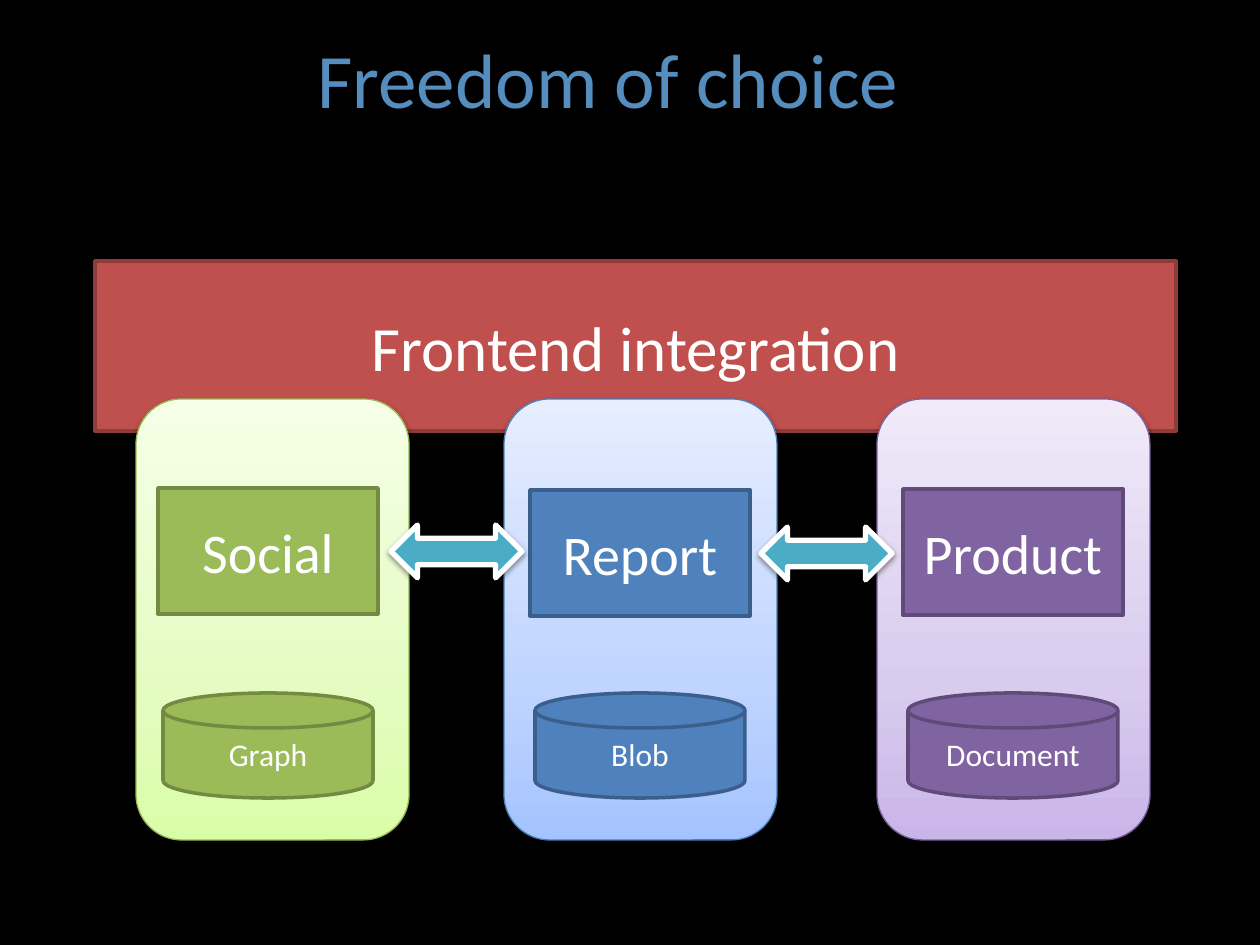
from copy import deepcopy

from lxml import etree
from pptx import Presentation
from pptx.dml.color import RGBColor
from pptx.enum.shapes import MSO_SHAPE
from pptx.enum.text import MSO_ANCHOR, PP_ALIGN
from pptx.oxml import parse_xml
from pptx.oxml.ns import nsdecls, qn
from pptx.util import Emu, Pt

RECT = MSO_SHAPE.RECTANGLE
PANEL = MSO_SHAPE.ROUNDED_RECTANGLE
DISK = MSO_SHAPE.FLOWCHART_MAGNETIC_DISK
ARROW = MSO_SHAPE.LEFT_RIGHT_ARROW
CENTER = PP_ALIGN.CENTER
MIDDLE = MSO_ANCHOR.MIDDLE

FONT = "Calibri"
EMU_PER_PX = 914400 / 126

rgb = RGBColor.from_string
BLACK = rgb("000000")
WHITE = rgb("FFFFFF")
TITLE_BLUE = rgb("558DBE")
RED, DARK_RED = rgb("C0504D"), rgb("8E3B39")
TEAL = rgb("4BACC6")

GREENS = {"fill": rgb("9BBB59"), "line": rgb("738A42"), "edge": rgb("98B955"),
          "gradient": (rgb("DAFDA7"), rgb("E4FCC2"), rgb("F5FFE7"))}
BLUES = {"fill": rgb("4F81BD"), "line": rgb("3A5F8C"), "edge": rgb("4B7EBC"),
         "gradient": (rgb("A4C4FF"), rgb("BFD4FF"), rgb("E6EEFF"))}
PURPLES = {"fill": rgb("8064A2"), "line": rgb("5F4A78"), "edge": rgb("7D60A0"),
           "gradient": (rgb("C9B5E8"), rgb("D8CBEE"), rgb("F0EAF9"))}
GRADIENT_POSITIONS = (0, 0.35, 1)

TITLE = "Freedom of choice"
FRONTEND = "Frontend integration"
# service, data store, colours, panel left, service left, service top
COLUMNS = [
    ("Social", "Graph", GREENS, 136, 158, 488),
    ("Report", "Blob", BLUES, 504, 530, 490),
    ("Product", "Document", PURPLES, 877, 903, 489),
]
ARROWS = [(391, 525), (761, 527)]
PANEL_TOP, PANEL_W, PANEL_H = 399, 273, 441
SERVICE_W, SERVICE_H = 220, 126
STORE_TOP, STORE_W, STORE_H = 693, 210, 105
ARROW_W, ARROW_H = 131, 53


def px(n):
    return Emu(round(n * EMU_PER_PX))


def write(s, text, size, color):
    tf = s.text_frame
    tf.word_wrap = True
    tf.text = text
    font = tf.paragraphs[0].runs[0].font
    font.name, font.size, font.color.rgb = FONT, Pt(size), color
    return tf


def add_shape(slide, kind, box, line, width, fill=None):
    s = slide.shapes.add_shape(kind, *map(px, box))
    s.shadow.inherit = False
    if fill is not None:
        s.fill.solid()
        s.fill.fore_color.rgb = fill
    s.line.color.rgb = line
    s.line.width = Pt(width)
    return s


def add_label(slide, kind, box, text, size, fill, line):
    s = add_shape(slide, kind, box, line, 2, fill)
    tf = write(s, text, size, WHITE)
    tf.vertical_anchor = MIDDLE
    tf.paragraphs[0].alignment = CENTER


def set_gradient(s, colors):
    """Fill with three stops running from the bottom edge to the top."""
    s.fill.gradient()
    s.fill.gradient_angle = 90
    stop_list = s._element.spPr.find(".//" + qn("a:gsLst"))
    while len(stop_list) < len(colors):
        stop_list.append(deepcopy(stop_list[-1]))
    for stop, color, position in zip(s.fill.gradient_stops, colors, GRADIENT_POSITIONS):
        stop.color.rgb = color
        stop.position = position


def add_shadow(s):
    """Put a soft downward shadow in the shape's empty effect list."""
    effects = s._element.spPr.find(qn("a:effectLst"))
    shadow = parse_xml(
        f'<a:outerShdw {nsdecls("a")} blurRad="{Pt(3.1)}" dist="{Pt(1.6)}" '
        'dir="5400000" rotWithShape="0"/>')
    color = etree.SubElement(shadow, qn("a:srgbClr"), val=str(BLACK))
    etree.SubElement(color, qn("a:alpha"), val="38000")
    effects.append(shadow)


def add_column(slide, service, store, colors, panel_x, service_x, service_y):
    panel = add_shape(slide, PANEL, (panel_x, PANEL_TOP, PANEL_W, PANEL_H),
                      colors["edge"], 0.75)
    set_gradient(panel, colors["gradient"])
    add_shadow(panel)
    store_x = service_x + (SERVICE_W - STORE_W) // 2
    fill, line = colors["fill"], colors["line"]
    add_label(slide, RECT, (service_x, service_y, SERVICE_W, SERVICE_H),
              service, 32, fill, line)
    add_label(slide, DISK, (store_x, STORE_TOP, STORE_W, STORE_H),
              store, 18, fill, line)


def main():
    prs = Presentation()
    prs.slide_width, prs.slide_height = px(1260), px(945)
    slide = prs.slides.add_slide(prs.slide_layouts[6])
    slide.background.fill.solid()
    slide.background.fill.fore_color.rgb = BLACK

    add_label(slide, RECT, (95, 261, 1081, 170), FRONTEND, 36, RED, DARK_RED)
    title = slide.shapes.add_textbox(*map(px, (305, 25, 892, 147)))
    write(title, TITLE, 44, TITLE_BLUE)
    for column in COLUMNS:
        add_column(slide, *column)
    for x, y in ARROWS:
        arrow = add_shape(slide, ARROW, (x, y, ARROW_W, ARROW_H), WHITE, 3, TEAL)
        add_shadow(arrow)

    prs.save("out.pptx")


if __name__ == "__main__":
    main()
